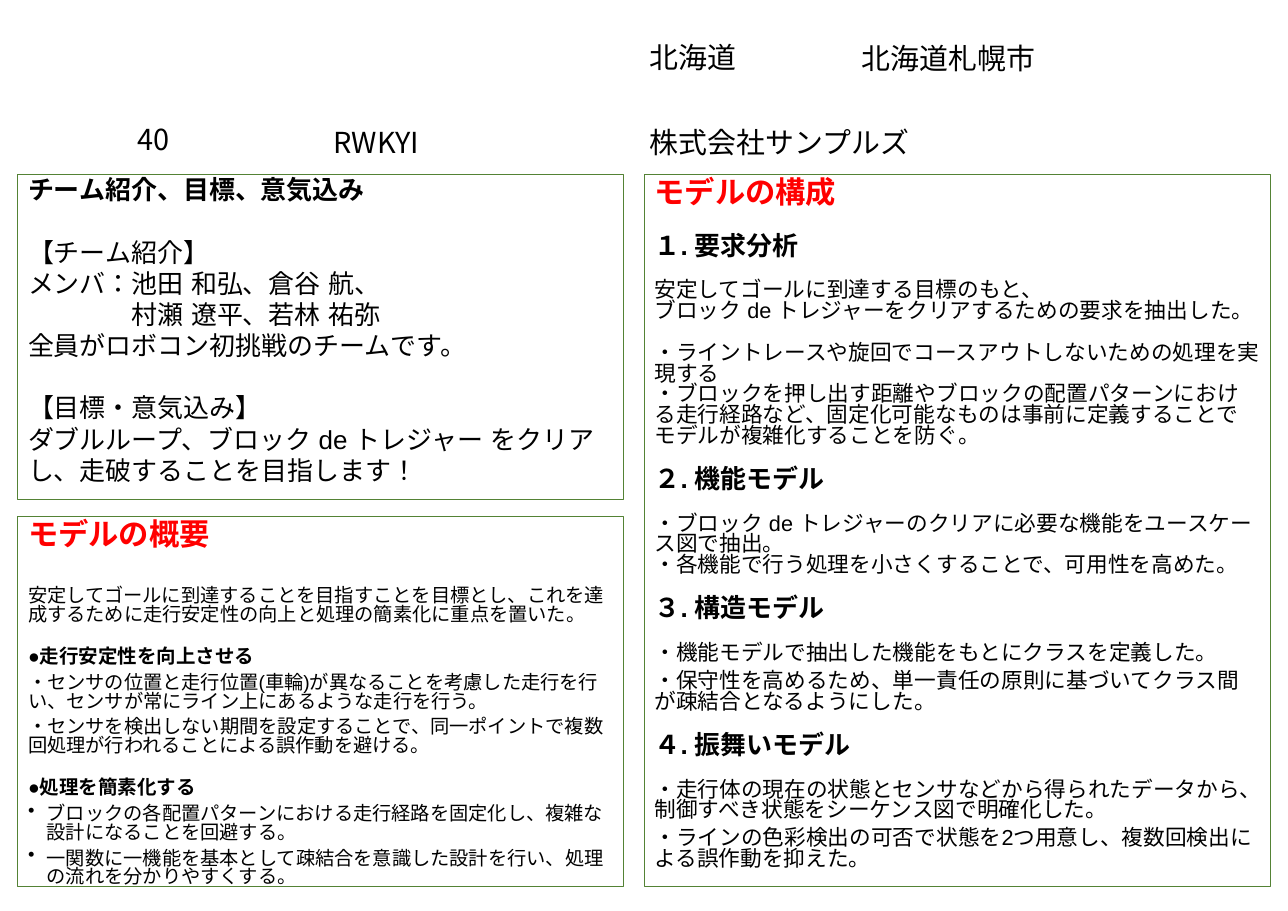
from lxml import etree
from pptx import Presentation
from pptx.dml.color import RGBColor
from pptx.enum.lang import MSO_LANGUAGE_ID
from pptx.enum.shapes import MSO_SHAPE
from pptx.enum.text import MSO_ANCHOR, PP_ALIGN
from pptx.oxml.ns import qn
from pptx.util import Inches, Pt

RECTANGLE = MSO_SHAPE.RECTANGLE
TOP, MIDDLE = MSO_ANCHOR.TOP, MSO_ANCHOR.MIDDLE
LEFT = PP_ALIGN.LEFT
JAPANESE = MSO_LANGUAGE_ID.JAPANESE

THEME = {
    "black": RGBColor(0, 0, 0),
    "red": RGBColor(255, 0, 0),
    "green": RGBColor(0x54, 0x82, 0x35),
    "header_font": "Noto Sans CJK JP",
    "panel_font": "Arial",
    "header": 26.7,
    "title": 28,
    "heading": 24,
    "text": 20,
    "subheading": 18,
    "small": 17.8,
}
BOLD = {"title", "heading", "subheading"}
TIGHT, NORMAL = 0.8, 1.0
STEP, BLANK, SECTION = 6.7, 19.4, 22.2

deck = Presentation()
deck.slide_width, deck.slide_height = Inches(16.53), Inches(11.69)
page = deck.slides.add_slide(deck.slide_layouts[6])


def place(left, top, width, height):
    across, down = deck.slide_width / 100, deck.slide_height / 100
    return int(left * across), int(top * down), int(width * across), int(height * down)


def write(para, text, style, font_name, color, bold=False):
    para.text = text
    para.alignment = LEFT
    font = para.font
    font.size = Pt(THEME[style])
    font.bold = bold
    font.color.rgb = color
    font.name = font_name
    font.language_id = JAPANESE
    east_asian = etree.SubElement(para._p.pPr.find(qn("a:defRPr")), qn("a:ea"))
    east_asian.set("typeface", font_name)


headers = [
    ("40", 9.68, 12.49, 5.32),
    ("RWKYI", 24.92, 12.79, 14.82),
    ("北海道", 49.49, 3.51, 12.7),
    ("北海道札幌市", 65.94, 3.59, 17),
    ("株式会社サンプルズ", 49.49, 12.83, 32.85),
]
for text, left, top, width in headers:
    frame = page.shapes.add_textbox(*place(left, top, width, 5.56)).text_frame
    frame.word_wrap = True
    frame.vertical_anchor = MIDDLE
    frame.margin_left = frame.margin_right = Inches(0.16)
    frame.margin_top = frame.margin_bottom = Inches(0.08)
    write(frame.paragraphs[0], text, "header", THEME["header_font"], THEME["black"])

team = [
    ("チーム紹介、目標、意気込み", "heading", 0, TIGHT, True),
    ("【チーム紹介】", "heading", 28.8, NORMAL, False),
    ("メンバ：池田 和弘、倉谷 航、", "heading", 0, NORMAL, False),
    ("村瀬 遼平、若林 祐弥", "heading", 0, NORMAL, False),
    ("全員がロボコン初挑戦のチームです。", "heading", 0, NORMAL, False),
    ("【目標・意気込み】", "heading", 28.8, NORMAL, False),
    ("ダブルループ、ブロック de トレジャー をクリアし、走破することを目指します！", "heading", 0, NORMAL, False),
]
overview = [
    ("モデルの概要", "title", 0),
    ("安定してゴールに到達することを目指すことを目標とし、これを達成するために走行安定性の向上と処理の簡素化に重点を置いた。", "small", 33.7),
    ("●走行安定性を向上させる", "subheading", SECTION),
    ("・センサの位置と走行位置(車輪)が異なることを考慮した走行を行い、センサが常にライン上にあるような走行を行う。", "small", STEP),
    ("・センサを検出しない期間を設定することで、同一ポイントで複数回処理が行われることによる誤作動を避ける。", "small", STEP),
    ("●処理を簡素化する", "subheading", SECTION),
    ("ブロックの各配置パターンにおける走行経路を固定化し、複雑な設計になることを回避する。", "small", STEP),
    ("一関数に一機能を基本として疎結合を意識した設計を行い、処理の流れを分かりやすくする。", "small", STEP),
]
structure = [
    ("モデルの構成", "title", 0),
    ("１. 要求分析", "heading", 24),
    ("安定してゴールに到達する目標のもと、", "text", BLANK),
    ("ブロック de トレジャーをクリアするための要求を抽出した。", "text", 0),
    ("・ライントレースや旋回でコースアウトしないための処理を実現する", "text", BLANK),
    ("・ブロックを押し出す距離やブロックの配置パターンにおける走行経路など、固定化可能なものは事前に定義することでモデルが複雑化することを防ぐ。", "text", 0),
    ("２. 機能モデル", "heading", BLANK),
    ("・ブロック de トレジャーのクリアに必要な機能をユースケース図で抽出。", "text", BLANK),
    ("・各機能で行う処理を小さくすることで、可用性を高めた。", "text", 0),
    ("３. 構造モデル", "heading", BLANK),
    ("・機能モデルで抽出した機能をもとにクラスを定義した。", "text", BLANK),
    ("・保守性を高めるため、単一責任の原則に基づいてクラス間が疎結合となるようにした。", "text", STEP),
    ("４. 振舞いモデル", "heading", BLANK),
    ("・走行体の現在の状態とセンサなどから得られたデータから、制御すべき状態をシーケンス図で明確化した。", "text", BLANK),
    ("・ラインの色彩検出の可否で状態を2つ用意し、複数回検出による誤作動を抑えた。", "text", STEP),
]
panels = [
    (place(50.03, 19.16, 48.58, 78.1), structure),
    (place(1.39, 19.16, 47, 35.67), team),
    (place(1.39, 56.72, 47, 40.63), overview),
]
panel_paras = {}
for area, lines in panels:
    box = page.shapes.add_shape(RECTANGLE, *area)
    box.shadow.inherit = False
    box.fill.background()
    box.line.color.rgb = THEME["green"]
    box.line.width = Pt(0.75)
    frame = box.text_frame
    frame.word_wrap = True
    frame.vertical_anchor = TOP
    frame.margin_left = frame.margin_right = Inches(0.13)
    frame.margin_top = frame.margin_bottom = Inches(0.07)
    for index, (text, style, gap, *options) in enumerate(lines):
        spacing, bold = options or (TIGHT, style in BOLD)
        para = frame.add_paragraph() if index else frame.paragraphs[0]
        color = THEME["red" if style == "title" else "black"]
        write(para, text, style, THEME["panel_font"], color, bold)
        para.line_spacing = spacing
        para.space_before = Pt(gap)
        panel_paras[text] = para

second_members = panel_paras[team[3][0]]
second_members._p.pPr.set("marL", str(Pt(4 * THEME["heading"])))

for text, *_ in overview[-2:]:
    properties = panel_paras[text]._p.pPr
    properties.set("marL", str(Inches(0.24)))
    properties.set("indent", str(-Inches(0.24)))
    bullet = etree.Element(qn("a:buChar"), char="•")
    properties.find(qn("a:defRPr")).addprevious(bullet)

deck.save("out.pptx")
